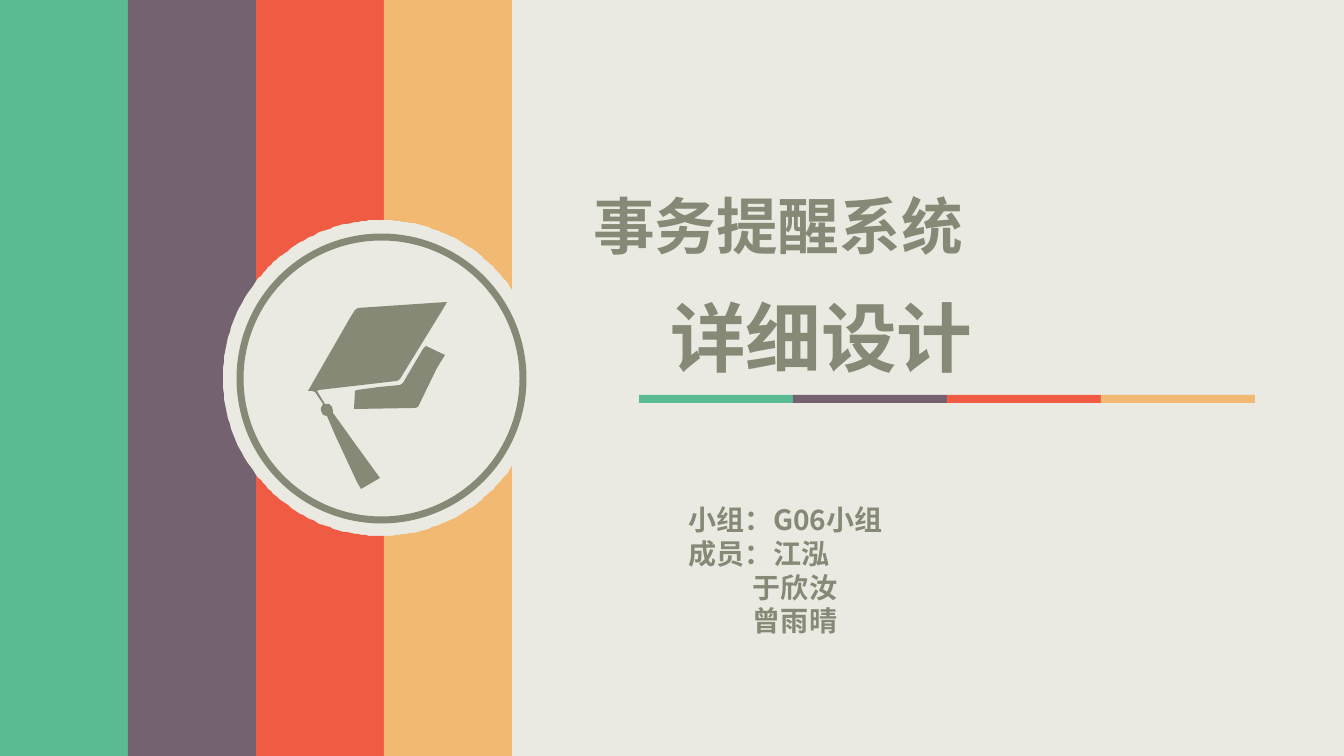
import math
from dataclasses import dataclass

import pptx
import pptx.dml.color
import pptx.enum.shapes
import pptx.enum.text
import pptx.oxml
import pptx.oxml.ns
import pptx.util

EMU_PER_PX = 914400 / 100.8
SLIDE_WIDTH, SLIDE_HEIGHT = 1344, 756


@dataclass(frozen=True)
class Theme:
    background: str = "EBEAE2"
    ink: str = "858976"
    stripes: tuple = ("5ABB93", "756271", "EF5B43", "F2B973")
    font: str = "Noto Sans CJK SC"
    title_size: int = 44
    subtitle_size: int = 54
    member_size: int = 20
    ring_width: int = 5


THEME = Theme()

# Stripe width and the round notch cut out of the stripes
STRIPE_WIDTH = 128
NOTCH_X, NOTCH_Y, NOTCH_RADIUS = 381, 378, 158

# Graduation cap outlines
BOARD_AND_TASSEL = [
    (308, 391), (350, 318), (355, 310), (358, 308), (432, 303), (447, 302),
    (443, 309), (400, 379), (397, 381), (319, 390), (317, 391), (325, 404),
    (329, 404), (332, 407), (333, 411), (333, 413), (356, 445), (380, 478),
    (361, 489), (357, 482), (336, 437), (327, 416), (323, 415), (321, 411),
    (321, 408), (323, 404), (315, 392), (312, 391),
]
CAP_BAND = [
    (354, 409), (355, 391), (357, 390), (379, 387), (400, 385), (403, 383),
    (423, 349), (426, 346), (445, 355), (437, 368), (418, 407), (415, 408),
]


def px(length):
    return pptx.util.Emu(round(length * EMU_PER_PX))


def rgb(color):
    return pptx.dml.color.RGBColor.from_string(color)


def paint(shape, color):
    shape.shadow.inherit = False
    shape.fill.solid()
    shape.fill.fore_color.rgb = rgb(color)
    shape.line.fill.background()


def add_bar(slide, left, top, width, height, color):
    bar = slide.shapes.add_shape(
        pptx.enum.shapes.MSO_SHAPE.RECTANGLE, px(left), px(top), px(width), px(height))
    paint(bar, color)


def add_outline(slide, contours, color):
    builder = slide.shapes.build_freeform(*contours[0][0], scale=EMU_PER_PX)
    builder.add_line_segments(contours[0][1:], close=True)
    for contour in contours[1:]:
        builder.move_to(*contour[0])
        builder.add_line_segments(contour[1:], close=True)
    paint(builder.convert_to_shape(), color)


def notch_arc(start, end, steps=40):
    """Points on the notch circle between two angles in radians."""
    angles = [start + (end - start) * step / steps for step in range(steps + 1)]
    return [(NOTCH_X + NOTCH_RADIUS * math.cos(angle),
             NOTCH_Y + NOTCH_RADIUS * math.sin(angle)) for angle in angles]


def notch_angle(x):
    return math.acos((x - NOTCH_X) / NOTCH_RADIUS)


def add_stripe(slide, left, color):
    right = left + STRIPE_WIDTH
    notch_left = NOTCH_X - NOTCH_RADIUS
    if right <= notch_left:
        add_bar(slide, left, 0, STRIPE_WIDTH, SLIDE_HEIGHT, color)
        return
    top_edge = [(left, 0), (right, 0)]
    bottom_edge = [(right, SLIDE_HEIGHT), (left, SLIDE_HEIGHT)]
    near = notch_angle(right)
    if left < notch_left:
        contours = [top_edge + notch_arc(2 * math.pi - near, near) + bottom_edge]
    else:
        far = notch_angle(left)
        contours = [top_edge + notch_arc(-near, -far),
                    bottom_edge + notch_arc(far, near)]
    add_outline(slide, contours, color)


def add_ring(slide, left, top, diameter):
    ring = slide.shapes.add_shape(
        pptx.enum.shapes.MSO_SHAPE.OVAL, px(left), px(top), px(diameter), px(diameter))
    ring.shadow.inherit = False
    ring.fill.background()
    ring.line.color.rgb = rgb(THEME.ink)
    ring.line.width = pptx.util.Pt(THEME.ring_width)


def place(shape, left, top, width, height):
    shape.left, shape.top = px(left), px(top)
    shape.width, shape.height = px(width), px(height)


def write_lines(shape, lines, size, line_height):
    """Fill a shape with (text, indent) lines."""
    frame = shape.text_frame
    frame.word_wrap = True
    frame.auto_size = pptx.enum.text.MSO_AUTO_SIZE.NONE
    frame.vertical_anchor = pptx.enum.text.MSO_ANCHOR.TOP
    frame.text = "\n".join(text for text, indent in lines)
    for paragraph, (text, indent) in zip(frame.paragraphs, lines):
        paragraph.alignment = pptx.enum.text.PP_ALIGN.LEFT
        paragraph.space_before = pptx.util.Pt(0)
        paragraph.line_spacing = pptx.util.Pt(line_height)
        properties = paragraph._p.get_or_add_pPr()
        properties.set("marL", str(px(indent)))
        properties.set("indent", "0")
        font = paragraph.font
        font.name = THEME.font
        font.size = pptx.util.Pt(size)
        font.bold = True
        font.color.rgb = rgb(THEME.ink)
        # East Asian typeface follows the Latin one
        latin = properties.find(".//" + pptx.oxml.ns.qn("a:latin"))
        east_asian = pptx.oxml.parse_xml(
            f'<a:ea {pptx.oxml.ns.nsdecls("a")} typeface="{THEME.font}"/>')
        latin.addnext(east_asian)


def main():
    presentation = pptx.Presentation()
    presentation.slide_width = px(SLIDE_WIDTH)
    presentation.slide_height = px(SLIDE_HEIGHT)
    slide = presentation.slides.add_slide(presentation.slide_layouts[0])
    slide.background.fill.solid()
    slide.background.fill.fore_color.rgb = rgb(THEME.background)

    # Vertical stripes and the four-colour rule under the titles
    for index, color in enumerate(THEME.stripes):
        add_stripe(slide, index * STRIPE_WIDTH, color)
        add_bar(slide, 639 + index * 154, 395, 154, 8, color)

    # Emblem
    add_ring(slide, 240, 237, 283)
    add_outline(slide, [BOARD_AND_TASSEL], THEME.ink)
    add_outline(slide, [CAP_BAND], THEME.ink)

    # Titles
    title = slide.shapes.title
    place(title, 583, 177, 400, 89)
    write_lines(title, [("事务提醒系统", 0)], THEME.title_size, 57)
    subtitle = slide.placeholders[1]
    place(subtitle, 660, 279, 330, 107)
    write_lines(subtitle, [("详细设计", 0)], THEME.subtitle_size, 70)

    # Group and members
    members = slide.shapes.add_textbox(px(679), px(498), px(216), px(178))
    write_lines(members, [("小组：G06小组", 0), ("成员：江泓", 0),
                          ("于欣汝", 64), ("曾雨晴", 64)], THEME.member_size, 24)

    presentation.save("out.pptx")


if __name__ == "__main__":
    main()
